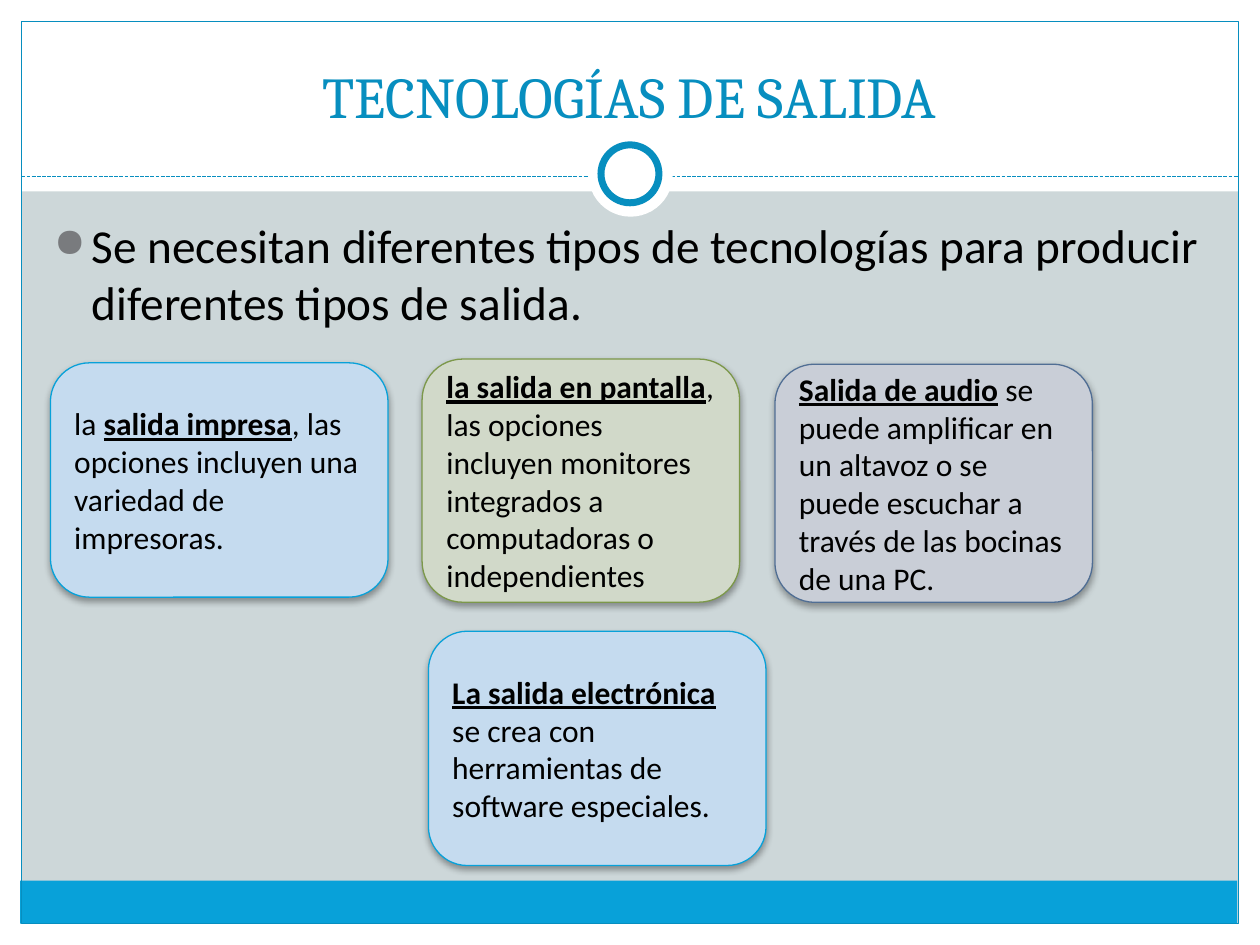
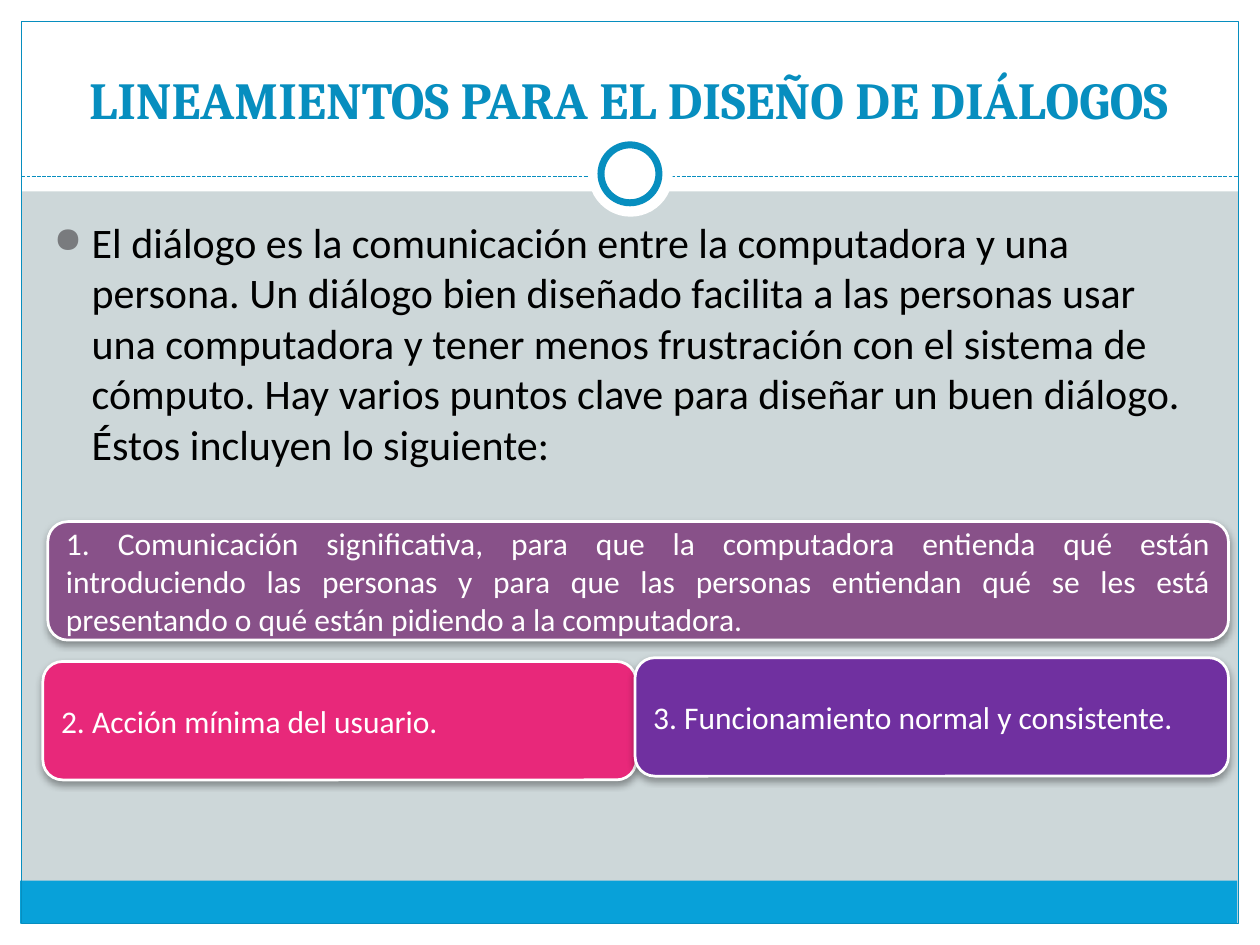
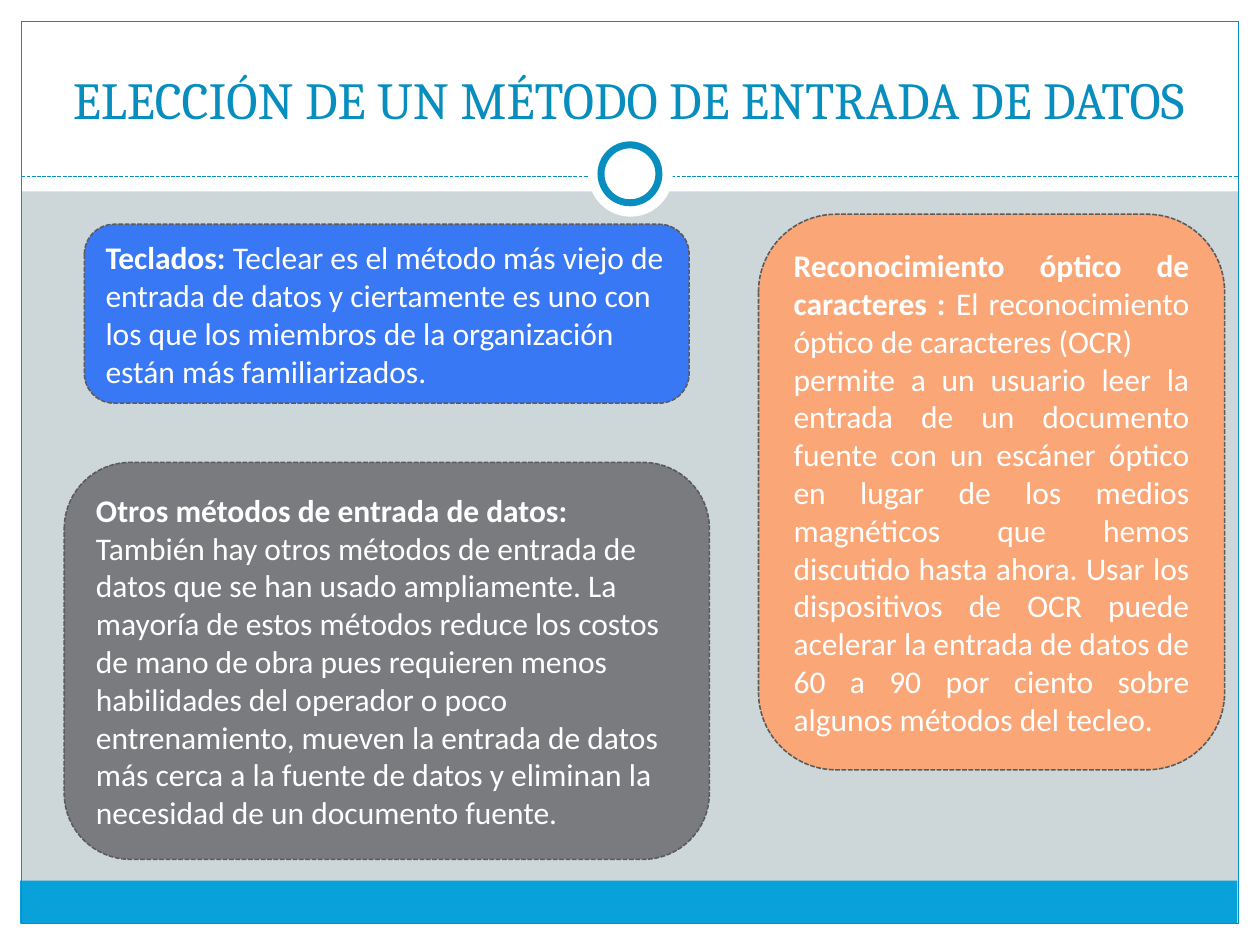
"""Build three slides on output, dialogue design and data entry."""
from lxml import etree
from pptx import Presentation, util as u
from pptx.dml import color as c
from pptx.enum import dml, shapes, text
from pptx.oxml import ns

RGB = c.RGBColor
WHITE = RGB(0xFF, 0xFF, 0xFF)
BLACK = RGB(0, 0, 0)
BACK = RGB(0xCD, 0xD7, 0xD9)
BLUE = RGB(0x08, 0xA1, 0xD9)
TEAL = RGB(0x07, 0x8E, 0xBF)
GRAY = RGB(0x79, 0x7B, 0x7E)
DARK = RGB(0x5A, 0x5B, 0x5D)
PALE = RGB(0xC5, 0xDB, 0xEF)
SAGE = RGB(0xD1, 0xD9, 0xC9)
GREEN = RGB(0x7C, 0x98, 0x4A)
MIST = RGB(0xC9, 0xCE, 0xD7)
SLATE = RGB(0x50, 0x6E, 0x94)
PLUM = RGB(0x88, 0x51, 0x89)
PINK = RGB(0xE8, 0x28, 0x7A)
GRAPE = RGB(0x70, 0x30, 0xA0)
ROYAL = RGB(0x39, 0x78, 0xF5)
PEACH = RGB(0xFB, 0xA6, 0x76)

HEAD, BODY = "Cambria", "Calibri"
WIDE, HIGH, RIM = 10, 7.5, 0.17
KIND = shapes.MSO_SHAPE
ALIGN = text.PP_ALIGN
DASH = dml.MSO_LINE.SQUARE_DOT


def sub(parent, tag, **attrs):
    """Append a drawing element to its parent."""
    return etree.SubElement(parent, ns.qn(tag), attrs)


def inches(area):
    """Turn numbers into inch lengths."""
    return [u.Inches(n) for n in area]


def form(slide, kind, area, fill=None, edge=None, width=0.75):
    """Add a preset shape without a shadow."""
    shape = slide.shapes.add_shape(kind, *inches(area))
    shape.shadow.inherit = False
    if fill is None:
        shape.fill.background()
    else:
        shape.fill.solid()
        shape.fill.fore_color.rgb = fill
    if edge is None:
        shape.line.fill.background()
    else:
        shape.line.color.rgb = edge
        shape.line.width = u.Pt(width)
    return shape


def shade(shape):
    """Give a shape a soft shadow below it."""
    glow = sub(shape._element.spPr.find(ns.qn("a:effectLst")), "a:outerShdw",
               blurRad=str(u.Pt(4)), dist=str(u.Pt(2)), dir="5400000", rotWithShape="0")
    tone = sub(glow, "a:srgbClr", val=str(BLACK))
    sub(tone, "a:alpha", val="35000")


def style(para, size, color, name=BODY, bold=None):
    """Set the font of a paragraph."""
    font = para.font
    font.name, font.size, font.bold = name, u.Pt(size), bold
    font.color.rgb = color


def label(slide, area, words):
    """Add a wrapping text box and return its frame."""
    frame = slide.shapes.add_textbox(*inches(area)).text_frame
    frame.word_wrap = True
    frame.paragraphs[0].text = words
    return frame


def title(slide, words, size, bold=None):
    """Add the slide title."""
    frame = label(slide, (0.33, 0.25, 9.33, 0.83), words)
    frame.vertical_anchor = text.MSO_ANCHOR.BOTTOM
    para = frame.paragraphs[0]
    para.alignment = ALIGN.CENTER
    style(para, size, TEAL, HEAD, bold)


def bullet(slide, words, size):
    """Add the bulleted body text."""
    para = label(slide, (0.33, 1.67, 9.3, 5), words).paragraphs[0]
    props = para._p.get_or_add_pPr()
    props.set("marL", str(u.Inches(0.3)))
    props.set("indent", str(u.Inches(-0.3)))
    sub(sub(props, "a:buClr"), "a:srgbClr", val=str(GRAY))
    sub(props, "a:buSzPct", val="85000")
    sub(props, "a:buChar", char="●")
    style(para, size, BLACK)


def card(slide, area, fill, edge, width, paras, ink=WHITE, align=ALIGN.LEFT, line=None):
    """Add a rounded box; each paragraph is a list of (words, marks) runs."""
    shape = form(slide, KIND.ROUNDED_RECTANGLE, area, fill, edge, width)
    frame = shape.text_frame
    frame.word_wrap = True
    frame.vertical_anchor = text.MSO_ANCHOR.MIDDLE
    for i, runs in enumerate(paras):
        para = frame.add_paragraph() if i else frame.paragraphs[0]
        para.alignment = align
        style(para, 18, ink)
        for words, marks in runs:
            run = para.add_run()
            run.text = words
            if "b" in marks:
                run.font.bold = True
            if "u" in marks:
                run.font.underline = True
    if line is None:
        shade(shape)
    else:
        shape.line.dash_style = line


def base(deck):
    """Add a slide with the shared bands, frame, rule and ring."""
    slide = deck.slides.add_slide(deck.slide_layouts[6])
    slide.background.fill.solid()
    slide.background.fill.fore_color.rgb = BACK
    for area in ((0, HIGH - RIM, WIDE, RIM), (0, 0, WIDE, 1.52),
                 (0, 0, RIM, HIGH), (WIDE - RIM, 0, RIM, HIGH)):
        form(slide, KIND.RECTANGLE, area, WHITE)
    form(slide, KIND.RECTANGLE, (0.16, 6.99, 9.66, 0.34), BLUE)
    form(slide, KIND.RECTANGLE, (RIM, RIM, WIDE - 2 * RIM, HIGH - 2 * RIM), edge=TEAL)
    rule = slide.shapes.add_connector(shapes.MSO_CONNECTOR.STRAIGHT,
                                      *inches((RIM, 1.4, WIDE - RIM, 1.4)))
    rule.line.color.rgb = TEAL
    rule.line.width = u.Pt(0.75)
    rule.line.dash_style = DASH
    sub(rule._element.spPr, "a:effectLst")
    form(slide, KIND.OVAL, (4.67, 1.05, 0.67, 0.67), WHITE)
    form(slide, KIND.OVAL, (4.77, 1.15, 0.46, 0.46), WHITE, TEAL, 4)
    return slide


def output(deck):
    """Build the slide on output technologies."""
    slide = base(deck)
    title(slide, "TECNOLOGÍAS DE SALIDA", 33)
    bullet(slide, "Se necesitan diferentes tipos de tecnologías para producir "
                  "diferentes tipos de salida.", 27)
    cards = (
        ((0.4, 2.88, 2.68, 1.86), PALE, BLUE,
         [("la ", ""), ("salida impresa", "bu"),
          (", las opciones incluyen una variedad de impresoras.", "")]),
        ((3.35, 2.85, 2.52, 1.93), SAGE, GREEN,
         [("la salida en pantalla", "bu"),
          (", las opciones incluyen monitores integrados a computadoras "
           "o independientes", "")]),
        ((6.15, 2.89, 2.52, 1.89), MIST, SLATE,
         [("Salida de audio", "bu"),
          (" se puede amplificar en un altavoz o se puede escuchar a través "
           "de las bocinas de una PC.", "")]),
        ((3.4, 5.01, 2.68, 1.86), PALE, BLUE,
         [("La salida electrónica ", "bu"),
          ("se crea con herramientas de software especiales.", "")]),
    )
    for area, fill, edge, runs in cards:
        card(slide, area, fill, edge, 0.75, [runs], BLACK)


def dialog(deck):
    """Build the slide on dialogue guidelines."""
    slide = base(deck)
    title(slide, "LINEAMIENTOS PARA EL DISEÑO DE DIÁLOGOS", 29.7, True)
    bullet(slide, "El diálogo es la comunicación entre la computadora y una persona. "
                  "Un diálogo bien diseñado facilita a las personas usar una computadora "
                  "y tener menos frustración con el sistema de cómputo. Hay varios puntos "
                  "clave para diseñar un buen diálogo. Éstos incluyen lo siguiente:", 24)
    cards = (
        ((0.38, 4.14, 9.37, 0.94), PLUM, ALIGN.JUSTIFY,
         "1. Comunicación significativa, para que la computadora entienda qué están "
         "introduciendo las personas y para que las personas entiendan qué se les está "
         "presentando o qué están pidiendo a la computadora."),
        ((0.34, 5.25, 4.71, 0.94), PINK, ALIGN.LEFT, "2. Acción mínima del usuario."),
        ((5.04, 5.22, 4.71, 0.94), GRAPE, ALIGN.LEFT,
         "3. Funcionamiento normal y consistente."),
    )
    for area, fill, align, words in cards:
        card(slide, area, fill, WHITE, 1.57, [[(words, "")]], align=align)


def entry(deck):
    """Build the slide on data entry methods."""
    slide = base(deck)
    title(slide, "ELECCIÓN DE UN MÉTODO DE ENTRADA DE DATOS", 29.7)
    cards = (
        ((0.67, 1.78, 4.8, 1.42), ROYAL, ALIGN.LEFT,
         [[("Teclados: ", "b"),
           ("Teclear es el método más viejo de entrada de datos y ciertamente es uno "
            "con los que los miembros de la organización están más familiarizados.", "")]]),
        ((6.02, 1.7, 3.7, 4.41), PEACH, ALIGN.JUSTIFY,
         [[("Reconocimiento óptico de caracteres : ", "b"),
           ("El reconocimiento óptico de caracteres (OCR)", "")],
          [("permite a un usuario leer la entrada de un documento fuente con un escáner "
            "óptico en lugar de los medios magnéticos que hemos discutido hasta ahora. "
            "Usar los dispositivos de OCR puede acelerar la entrada de datos de 60 a 90 "
            "por ciento sobre algunos métodos del tecleo.", "")]]),
        ((0.51, 3.67, 5.12, 3.15), GRAY, ALIGN.LEFT,
         [[("Otros métodos de entrada de datos: ", "b"),
           ("También hay otros métodos de entrada de datos que se han usado ampliamente. "
            "La mayoría de estos métodos reduce los costos de mano de obra pues requieren "
            "menos habilidades del operador o poco entrenamiento, mueven la entrada de "
            "datos más cerca a la fuente de datos y eliminan la necesidad de un documento "
            "fuente.", "")]]),
    )
    for area, fill, align, paras in cards:
        card(slide, area, fill, DARK, 0.9, paras, align=align, line=DASH)


def main():
    """Build and save the deck."""
    deck = Presentation()
    deck.slide_width, deck.slide_height = inches((WIDE, HIGH))
    for build in (output, dialog, entry):
        build(deck)
    deck.save("out.pptx")


if __name__ == "__main__":
    main()
